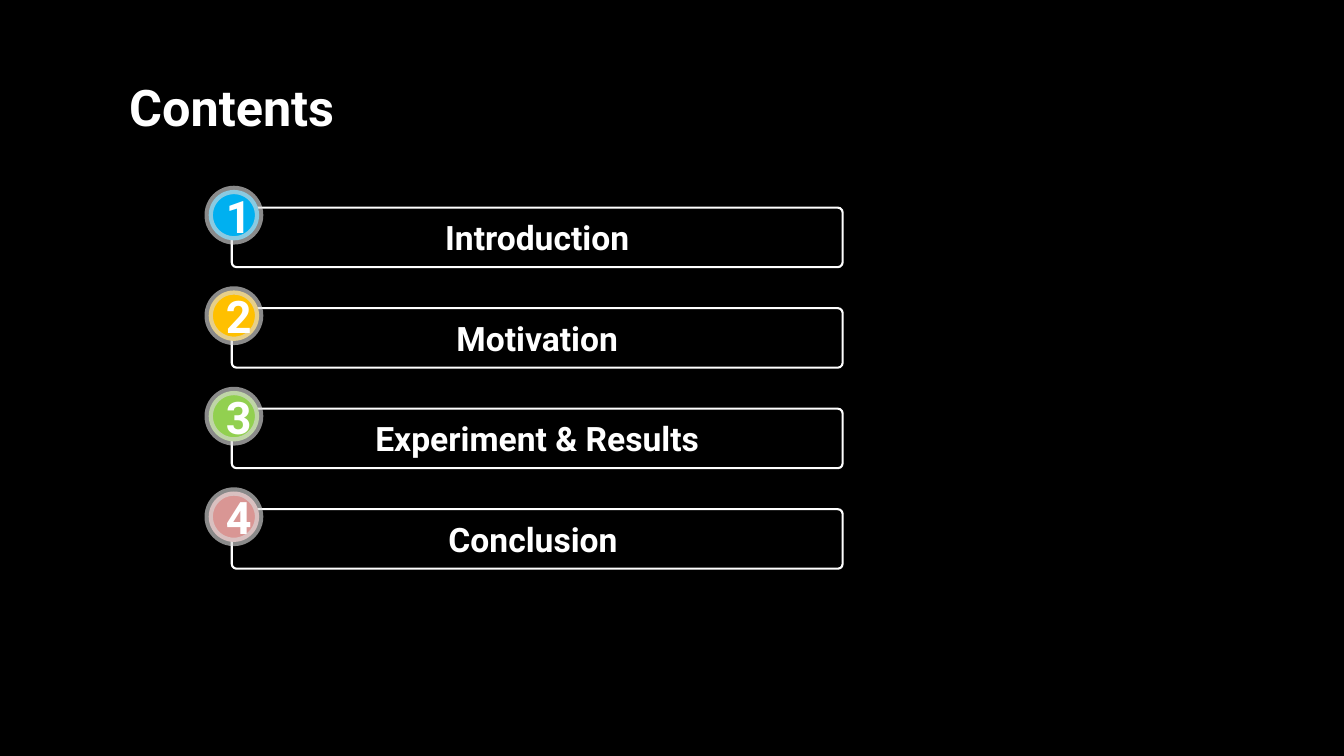
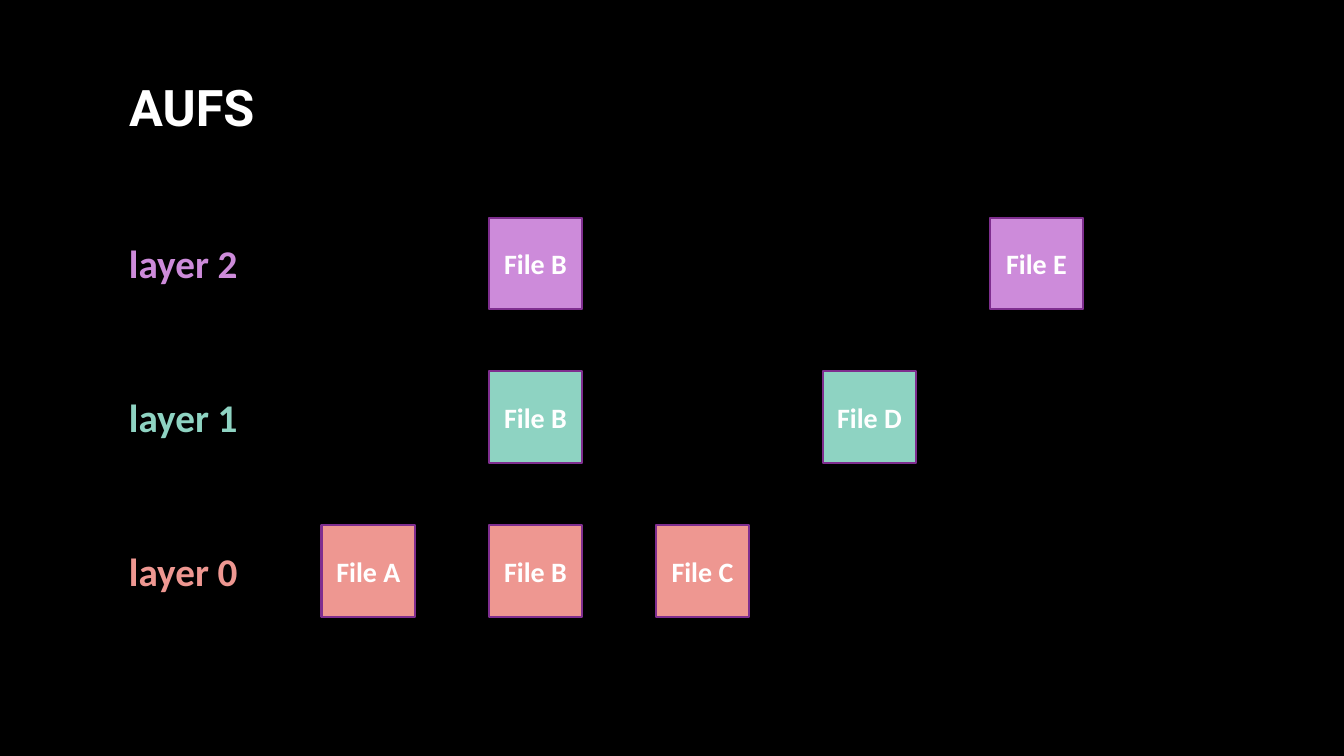
from lxml import etree
from pptx import Presentation
from pptx.dml.color import RGBColor
from pptx.enum.shapes import MSO_SHAPE as Kind
from pptx.enum.text import MSO_ANCHOR as Anchor, MSO_AUTO_SIZE as Fit, PP_ALIGN as Align
from pptx.oxml.ns import qn
from pptx.util import Pt

WHITE, BLACK = "FFFFFF", "000000"
PLUM, GRAY = "7F2E8F", "D9D9D9"
HEAD, BODY = "Roboto", "Calibri"


def paint(fill, tint):
    fill.solid()
    fill.fore_color.rgb = RGBColor.from_string(tint)


def fade(line, share):
    """Make a solid line partly opaque; share is the opacity in percent."""
    tint = line._ln.find(".//" + qn("a:srgbClr"))
    etree.SubElement(tint, qn("a:alpha")).set("val", str(share * 1000))


class Deck:
    """Holds the shared style and the slide being built."""

    def __init__(self):
        self.prs = Presentation()
        self.prs.slide_width, self.prs.slide_height = Pt(960), Pt(540)
        paint(self.prs.slide_master.background.fill, BLACK)
        self.slide = None

    def page(self, title, width):
        self.slide = self.prs.slides.add_slide(self.prs.slide_layouts[5])
        head = self.slide.shapes.title
        head.left, head.top = Pt(85), Pt(50.4)
        head.width, head.height = Pt(width), Pt(51)
        head.text_frame.auto_size = Fit.NONE
        self.letter(head, title, 36, HEAD, align=Align.LEFT, wrap=False)

    def letter(self, shape, text, size, face, tint=WHITE, align=Align.CENTER, wrap=True):
        """Put one styled line of text into a shape."""
        frame = shape.text_frame
        frame.word_wrap = wrap
        frame.vertical_anchor = Anchor.MIDDLE
        para = frame.paragraphs[0]
        para.text, para.alignment = text, align
        font = para.font
        font.name, font.size, font.bold = face, Pt(size), True
        paint(font.fill, tint)

    def shape(self, home, kind, area, fill, edge, weight):
        """Add a preset shape to a slide's or group's shapes; fill may be None."""
        item = home.add_shape(kind, *map(Pt, area))
        item.shadow.inherit = False
        if fill:
            paint(item.fill, fill)
        else:
            item.fill.background()
        paint(item.line.fill, edge)
        item.line.width = Pt(weight)
        return item

    def entry(self, number, text, tint, left, top):
        """Add an outlined bar with a numbered badge on its corner."""
        home = self.slide.shapes.add_group_shape().shapes
        bar = self.shape(home, Kind.ROUNDED_RECTANGLE, (left, top, 436.3, 42.5), None, WHITE, 1.5)
        bar.adjustments[0] = 0.08
        self.letter(bar, text, 24, HEAD, wrap=False)
        size = 36
        area = (left + 1.5 - size / 2, top + 5.4 - size / 2, size, size)
        badge = self.shape(home, Kind.OVAL, area, tint, GRAY, 6)
        fade(badge.line, 64)
        self.letter(badge, str(number), 32, HEAD)

    def label(self, text, tint, left, top):
        box = self.slide.shapes.add_textbox(Pt(left), Pt(top), Pt(93), Pt(41))
        self.letter(box, text, 28, BODY, tint, Align.LEFT, wrap=False)
        box.text_frame.auto_size = Fit.SHAPE_TO_FIT_TEXT

    def tile(self, text, tint, left, top):
        area = (left, top, 67, 65.5)
        box = self.shape(self.slide.shapes, Kind.RECTANGLE, area, tint, PLUM, 1.5)
        self.letter(box, text, 20, BODY)


def contents(deck):
    deck.page("Contents", 179)
    topics = [
        ("Introduction", "00B0F0"),
        ("Motivation", "FFC000"),
        ("Experiment & Results", "92D050"),
        ("Conclusion ", "D99694"),
    ]
    for row, (text, tint) in enumerate(topics):
        deck.entry(row + 1, text, tint, 165.6, 148.3 + 71.8 * row)


def layers(deck):
    deck.page("AUFS", 110)
    stack = [
        ("layer 2", "CD8BDA", "BE"),
        ("layer 1", "8ED3C2", "BD"),
        ("layer 0", "EE9791", "ABC"),
    ]
    for row, (name, tint, files) in enumerate(stack):
        top = 155.5 + 109.8 * row
        deck.label(name, tint, 85, top + 12)
        for file in files:
            left = 229.7 + 119.3 * "ABCDE".index(file)
            deck.tile(f"File {file}", tint, left, top)


def main():
    deck = Deck()
    contents(deck)
    layers(deck)
    deck.prs.save("out.pptx")


if __name__ == "__main__":
    main()
